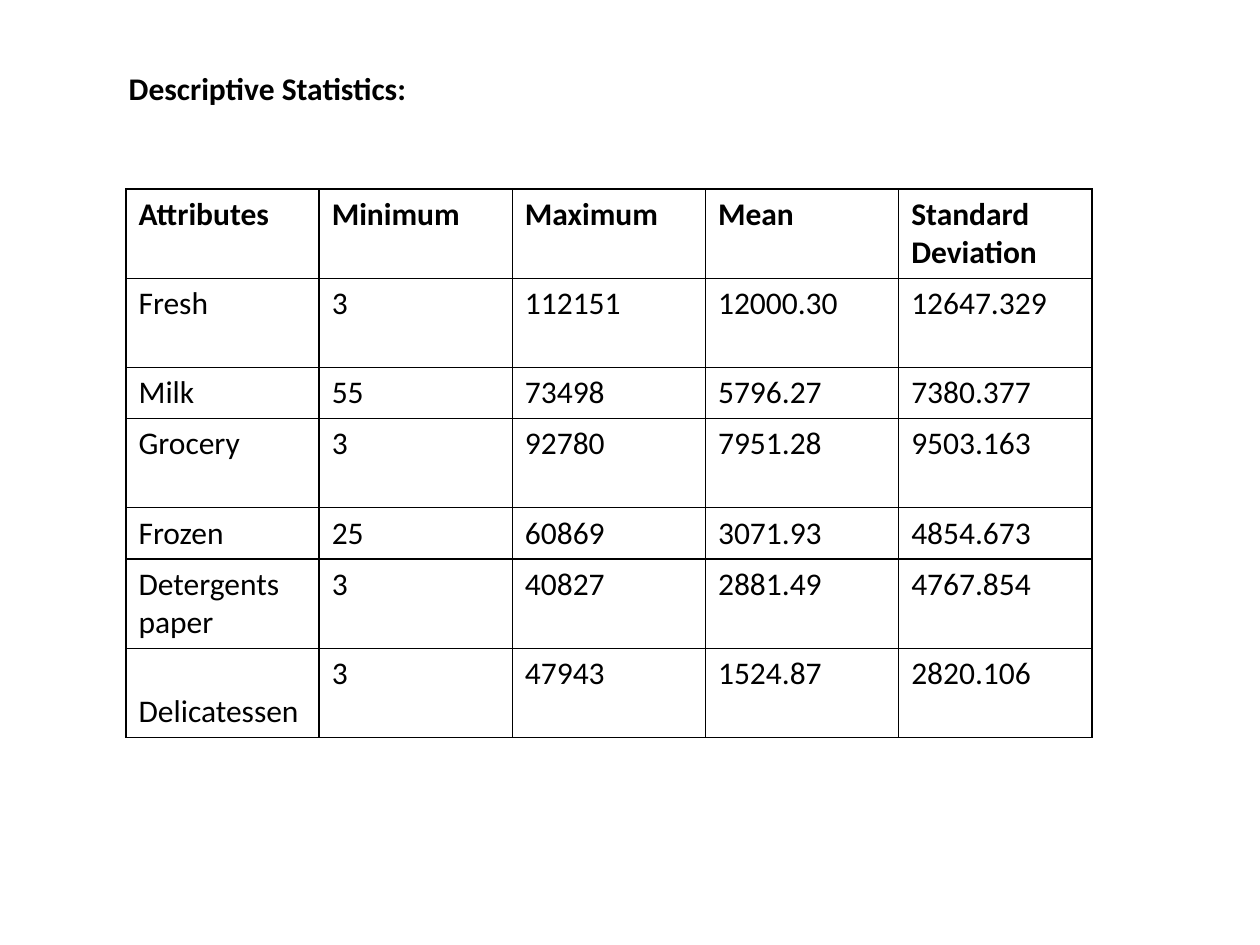
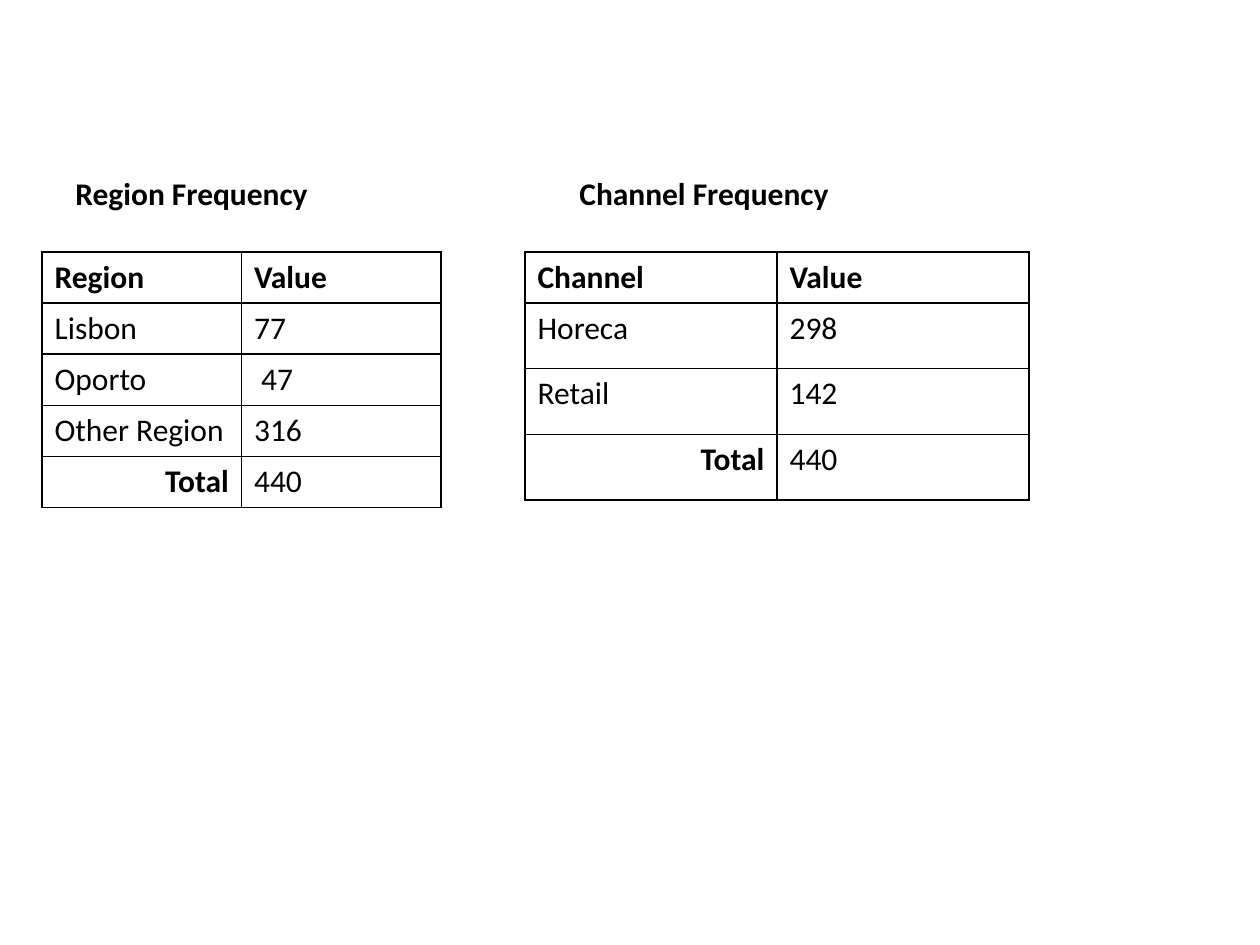
from dataclasses import dataclass

from lxml import etree
from pptx import Presentation
from pptx.dml.color import RGBColor
from pptx.enum.text import MSO_ANCHOR, PP_ALIGN
from pptx.oxml.ns import qn
from pptx.util import Pt

RIGHT = PP_ALIGN.RIGHT
BOTTOM = MSO_ANCHOR.BOTTOM
BORDER_SIDES = ("a:lnL", "a:lnR", "a:lnT", "a:lnB")
BLANK_LAYOUT = 6


@dataclass(frozen=True)
class Theme:
    font: str = "Calibri"
    size: float = 18
    ink: str = "000000"
    border: float = 1
    single_row: float = 29.2
    medium_row: float = 37.5
    double_row: float = 50.9


THEME = Theme()
SINGLE, MEDIUM, DOUBLE = THEME.single_row, THEME.medium_row, THEME.double_row

STATISTICS = [
    ("Attributes", "Minimum", "Maximum", "Mean", "Standard Deviation"),
    ("Fresh", "3", "112151", "12000.30", "12647.329"),
    ("Milk", "55", "73498", "5796.27", "7380.377"),
    ("Grocery", "3", "92780", "7951.28", "9503.163"),
    ("Frozen", "25", "60869", "3071.93", "4854.673"),
    ("Detergents paper", "3", "40827", "2881.49", "4767.854"),
    ("Delicatessen", "3", "47943", "1524.87", "2820.106"),
]
REGIONS = [
    ("Region", "Value"),
    ("Lisbon", "77"),
    ("Oporto", " 47"),
    ("Other Region", "316"),
    ("Total", "440"),
]
CHANNELS = [
    ("Channel", "Value"),
    ("Horeca", "298"),
    ("Retail", "142"),
    ("Total", "440"),
]

SLIDES = [
    [
        {
            "title": "Descriptive Statistics:",
            "title_at": (66.5, 36, 360, 51),
            "rows": STATISTICS,
            "table_at": (72, 108, 552),
            "heights": [DOUBLE, DOUBLE, SINGLE, DOUBLE, SINGLE, DOUBLE, DOUBLE],
            "low_labels": {"Delicatessen"},
        },
    ],
    [
        {
            "title": "Region Frequency",
            "title_at": (36, 96, 174, 29),
            "rows": REGIONS,
            "table_at": (24, 144, 228),
            "heights": [SINGLE] * len(REGIONS),
        },
        {
            "title": "Channel Frequency",
            "title_at": (324, 96, 158, 29),
            "rows": CHANNELS,
            "table_at": (300, 144, 288),
            "heights": [SINGLE] + [MEDIUM] * (len(CHANNELS) - 1),
        },
    ],
]


def write(text_frame, text, bold):
    text_frame.text = text
    for span in text_frame.paragraphs[0].runs:
        span.font.name = THEME.font
        span.font.size = Pt(THEME.size)
        span.font.bold = bold
        span.font.color.rgb = RGBColor.from_string(THEME.ink)


def add_title(page, text, place):
    box = page.shapes.add_textbox(*(Pt(length) for length in place))
    box.text_frame.word_wrap = True
    write(box.text_frame, text, True)


def add_borders(cell):
    properties = cell._tc.get_or_add_tcPr()
    for side in BORDER_SIDES:
        line = etree.SubElement(properties, qn(side), w=str(Pt(THEME.border)))
        fill = etree.SubElement(line, qn("a:solidFill"))
        etree.SubElement(fill, qn("a:srgbClr"), val=THEME.ink)


def add_grid(page, rows, place, heights, low_labels=()):
    left, top, width = place
    frame = page.shapes.add_table(
        len(rows), len(rows[0]), Pt(left), Pt(top), Pt(width), Pt(sum(heights))
    )
    table = frame.table
    table.first_row = table.horz_banding = False
    for column in table.columns:
        column.width = Pt(width / len(rows[0]))
    for row_number, (values, height) in enumerate(zip(rows, heights)):
        table.rows[row_number].height = Pt(height)
        for column_number, value in enumerate(values):
            cell = table.cell(row_number, column_number)
            is_total = value == "Total"
            write(cell.text_frame, value, row_number == 0 or is_total)
            if is_total:
                cell.text_frame.paragraphs[0].alignment = RIGHT
            if value in low_labels:
                cell.vertical_anchor = BOTTOM
            add_borders(cell)
            cell.fill.background()


deck = Presentation()
deck.slide_width, deck.slide_height = Pt(720), Pt(540)
for sections in SLIDES:
    page = deck.slides.add_slide(deck.slide_layouts[BLANK_LAYOUT])
    for section in sections:
        add_grid(
            page,
            section["rows"],
            section["table_at"],
            section["heights"],
            section.get("low_labels", ()),
        )
    for section in sections:
        add_title(page, section["title"], section["title_at"])
deck.save("out.pptx")
